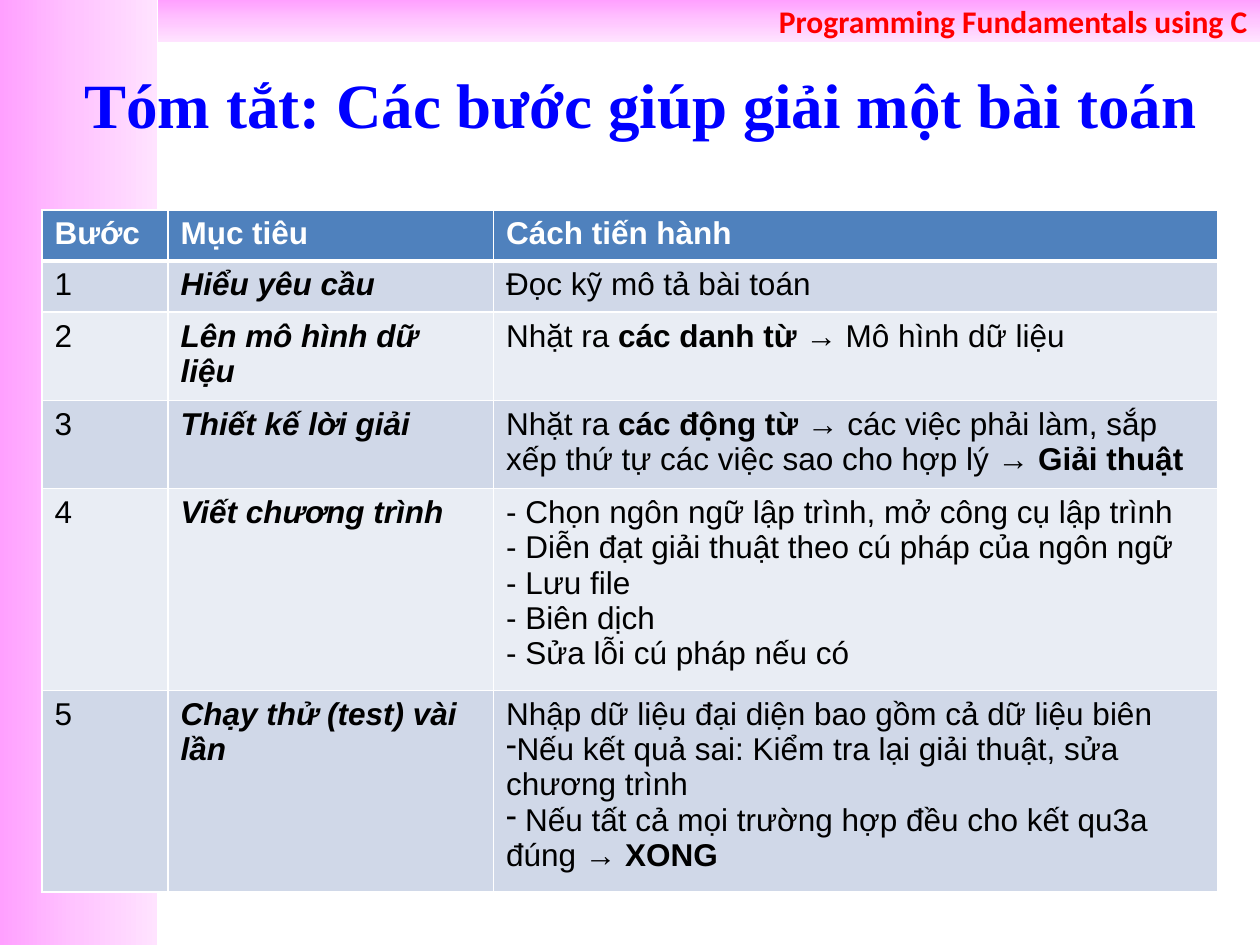
from lxml.etree import SubElement
from pptx import Presentation
from pptx.dml.color import RGBColor
from pptx.enum.shapes import MSO_SHAPE
from pptx.enum.text import MSO_ANCHOR, PP_ALIGN
from pptx.oxml.ns import qn
from pptx.util import Pt

BANNER = "Programming Fundamentals using C"
TITLE = "Tóm tắt: Các bước giúp giải một bài toán"
HEADINGS = ["Bước", "Mục tiêu", "Cách tiến hành"]
BOLD_MARK = "**"
BULLET_MARK = "•"
STEPS = [
    ("Hiểu yêu cầu", ["Đọc kỹ mô tả bài toán"]),
    ("Lên mô hình dữ liệu", ["Nhặt ra **các danh từ **→ Mô hình dữ liệu"]),
    ("Thiết kế lời giải", [
        "Nhặt ra **các động từ** → các việc phải làm, sắp xếp thứ tự "
        "các việc sao cho hợp lý → **Giải thuật**",
    ]),
    ("Viết chương trình", [
        "- Chọn ngôn ngữ lập trình, mở công cụ lập trình",
        "- Diễn đạt giải thuật theo cú pháp của ngôn ngữ",
        "- Lưu file",
        "- Biên dịch",
        "- Sửa lỗi cú pháp nếu có",
    ]),
    ("Chạy thử (test) vài lần", [
        "Nhập dữ liệu đại diện bao gồm cả dữ liệu biên",
        "•Nếu kết quả sai: Kiểm tra lại giải thuật, sửa chương trình",
        "• Nếu tất cả mọi trường hợp đều cho kết qu3a đúng → **XONG**",
    ]),
]
COLUMN_WIDTHS = [72, 186, 414]
ROW_HEIGHT = 29.2
HEADER_FILL = "4F81BD"
BAND_FILLS = ["D0D8E8", "E9EDF4"]
GRADIENT_STOPS = [(0, "FFA0FF"), (50, "FFC5FF"), (100, "FFE3FF")]
SLIDE_WIDTH, SLIDE_HEIGHT = 720, 540
SIDE_WIDTH, BANNER_HEIGHT = 90, 24


def rgb(value):
    return RGBColor.from_string(value)


def format_run(run, font_name, size, color, bold=False, italic=False):
    font = run.font
    font.name, font.size = font_name, Pt(size)
    font.bold, font.italic = bold, italic
    font.color.rgb = rgb(color)


def add_gradient_bar(slide, left, top, width, height, angle):
    shape = slide.shapes.add_shape(
        MSO_SHAPE.RECTANGLE, Pt(left), Pt(top), Pt(width), Pt(height))
    shape.shadow.inherit = False
    shape.line.fill.background()
    shape.fill.gradient()
    gradient = shape.fill._xPr.find(qn("a:gradFill"))
    stop_list = gradient.find(qn("a:gsLst"))
    for stop in list(stop_list):
        stop_list.remove(stop)
    for position, color in GRADIENT_STOPS:
        stop = SubElement(stop_list, qn("a:gs"), pos=str(position * 1000))
        SubElement(stop, qn("a:srgbClr"), val=color)
    gradient.find(qn("a:lin")).set("ang", str(angle * 60000))
    return shape


def write_line(shape, text, alignment, font_name, size, color):
    frame = shape.text_frame
    frame.word_wrap = True
    frame.vertical_anchor = MSO_ANCHOR.MIDDLE
    frame.text = text
    paragraph = frame.paragraphs[0]
    paragraph.alignment = alignment
    format_run(paragraph.runs[0], font_name, size, color, bold=True)


def style_cell(cell, fill, top=1, bottom=1):
    properties = cell._tc.get_or_add_tcPr()
    for side, width in (("L", 1), ("R", 1), ("T", top), ("B", bottom)):
        border = SubElement(properties, qn(f"a:ln{side}"), w=str(Pt(width)))
        solid = SubElement(border, qn("a:solidFill"))
        SubElement(solid, qn("a:srgbClr"), val="FFFFFF")
    cell.fill.solid()
    cell.fill.fore_color.rgb = rgb(fill)


def write_cell(cell, lines, color="000000", bold=False, italic=False):
    frame = cell.text_frame
    for index, line in enumerate(lines):
        paragraph = frame.paragraphs[0] if index == 0 else frame.add_paragraph()
        if line.startswith(BULLET_MARK):
            line = line[len(BULLET_MARK):]
            properties = paragraph._p.get_or_add_pPr()
            properties.set("marL", "0")
            properties.set("indent", "0")
            SubElement(properties, qn("a:buChar"), char="-")
        for part_index, part in enumerate(line.split(BOLD_MARK)):
            if part:
                run = paragraph.add_run()
                run.text = part
                format_run(run, "Arial", 18, color, bold or part_index % 2 == 1, italic)


def add_steps_table(slide):
    row_count = len(STEPS) + 1
    table = slide.shapes.add_table(
        row_count, len(HEADINGS), Pt(24), Pt(120),
        Pt(sum(COLUMN_WIDTHS)), Pt(ROW_HEIGHT * row_count)).table
    for column, width in zip(table.columns, COLUMN_WIDTHS):
        column.width = Pt(width)
    for row in table.rows:
        row.height = Pt(ROW_HEIGHT)
    for cell, heading in zip(table.rows[0].cells, HEADINGS):
        style_cell(cell, HEADER_FILL, bottom=3)
        write_cell(cell, [heading], "FFFFFF", bold=True)
    for number, (goal, actions) in enumerate(STEPS, start=1):
        cells = list(table.rows[number].cells)
        for cell in cells:
            style_cell(cell, BAND_FILLS[(number - 1) % 2], top=3 if number == 1 else 1)
        write_cell(cells[0], [str(number)])
        write_cell(cells[1], [goal], bold=True, italic=True)
        write_cell(cells[2], actions)


def main():
    presentation = Presentation()
    presentation.slide_width = Pt(SLIDE_WIDTH)
    presentation.slide_height = Pt(SLIDE_HEIGHT)
    slide = presentation.slides.add_slide(presentation.slide_layouts[6])
    add_gradient_bar(slide, 0, 0, SIDE_WIDTH, SLIDE_HEIGHT, 0)
    banner = add_gradient_bar(
        slide, SIDE_WIDTH, 0, SLIDE_WIDTH - SIDE_WIDTH, BANNER_HEIGHT, 90)
    write_line(banner, BANNER, PP_ALIGN.RIGHT, "Calibri", 18, "FF0000")
    title = slide.shapes.add_textbox(Pt(30), Pt(21.6), Pt(672), Pt(74.4))
    write_line(title, TITLE, PP_ALIGN.CENTER, "Times New Roman", 36, "0000FF")
    add_steps_table(slide)
    presentation.save("out.pptx")


if __name__ == "__main__":
    main()
